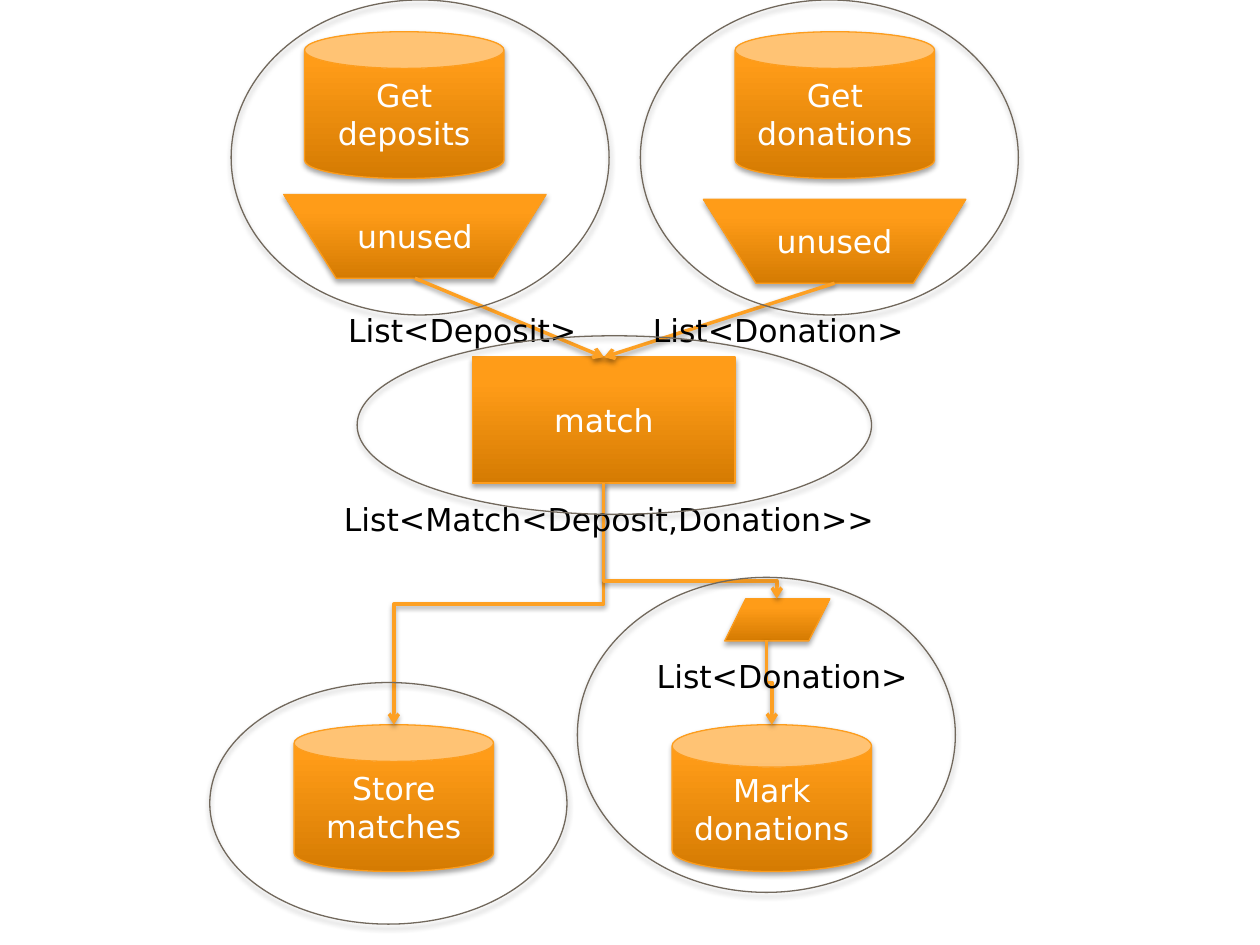
from copy import deepcopy

from lxml.etree import SubElement
from pptx import Presentation
from pptx.dml.color import RGBColor
from pptx.enum.shapes import MSO_CONNECTOR as Link, MSO_SHAPE as Shape
from pptx.enum.text import MSO_ANCHOR as Anchor, PP_ALIGN as Align
from pptx.oxml.ns import qn
from pptx.util import Cm, Pt

COLORS = {
    "dark": "D57B02", "mid": "FF9C18", "light": "FF9D19", "edge": "FD9D1D",
    "arrow": "FDA023", "ring": "71685C", "white": "FFFFFF", "black": "000000",
}
RGB = {name: RGBColor.from_string(value) for name, value in COLORS.items()}


def write(shape, text, color="black", align=Align.LEFT, anchor=Anchor.TOP):
    frame = shape.text_frame
    frame.word_wrap = True
    frame.vertical_anchor = anchor
    paragraph = frame.paragraphs[0]
    paragraph.alignment = align
    run = paragraph.add_run()
    run.text = text
    run.font.name = "DejaVu Sans"
    run.font.size = Pt(18)
    run.font.color.rgb = RGB[color]


def add_shadow(effects, distance, opacity):
    shadow = SubElement(effects, qn("a:outerShdw"), blurRad=str(Pt(3.1)),
                        dist=str(Pt(distance)), dir="5400000", rotWithShape="0")
    tone = SubElement(shadow, qn("a:srgbClr"), val=COLORS["black"])
    SubElement(tone, qn("a:alpha"), val=str(opacity * 1000))


deck = Presentation()
deck.slide_width, deck.slide_height = Cm(25.4), Cm(19.05)
slide = deck.slides.add_slide(deck.slide_layouts[6])
shapes = slide.shapes

step_sizes = {
    Shape.RECTANGLE: (5.29, 2.54),
    Shape.CAN: (4.02, 2.96),
    Shape.FLOWCHART_MANUAL_OPERATION: (5.29, 1.69),
    Shape.FLOWCHART_DATA: (2.12, 0.85),
}
steps = {}
for key, kind, left, top, label in [
    ("match", Shape.RECTANGLE, 9.53, 7.2, "match"),
    ("deposits", Shape.CAN, 6.14, 0.64, "Get deposits"),
    ("donations", Shape.CAN, 14.82, 0.64, "Get donations"),
    ("store", Shape.CAN, 5.93, 14.61, "Store matches"),
    ("mark", Shape.CAN, 13.55, 14.61, "Mark donations"),
    ("unused donations", Shape.FLOWCHART_MANUAL_OPERATION, 14.18, 4.02, "unused"),
    ("unused deposits", Shape.FLOWCHART_MANUAL_OPERATION, 5.72, 3.92, "unused"),
    ("convert", Shape.FLOWCHART_DATA, 14.61, 12.07, ""),
]:
    width, height = step_sizes[kind]
    step = shapes.add_shape(kind, Cm(left), Cm(top), Cm(width), Cm(height))
    step.fill.gradient()
    step.fill.gradient_angle = 90
    stop_list = step._element.spPr.find(".//" + qn("a:gsLst"))
    stop_list.append(deepcopy(stop_list[-1]))
    for stop, (position, color) in zip(
        step.fill.gradient_stops, [(0, "dark"), (0.8, "mid"), (1, "light")]
    ):
        stop.position = position
        stop.color.rgb = RGB[color]
    step.line.color.rgb = RGB["edge"]
    step.line.width = Pt(0.75)
    step.shadow.inherit = False
    add_shadow(step._element.spPr.find(qn("a:effectLst")), 1.8, 35)
    if label:
        write(step, label, color="white", align=Align.CENTER, anchor=Anchor.MIDDLE)
    steps[key] = step
steps["mark"].adjustments[0] = 0.289

flows = []
for source in ("unused deposits", "unused donations"):
    flow = shapes.add_connector(Link.STRAIGHT, 0, 0, 0, 0)
    flow.begin_connect(steps[source], 2)
    flow.end_connect(steps["match"], 0)
    flows.append(flow)

for x1, y1, x2, y2, bend in [
    (12.17, 9.74, 7.94, 14.61, 0.5),
    (12.17, 9.74, 15.66, 12.07, 0.845),
    (15.45, 12.91, 15.56, 14.61, 0.5),
]:
    middle_x, middle_y = (x1 + x2) / 2, (y1 + y2) / 2
    half_width, half_height = (y2 - y1) / 2, abs(x2 - x1) / 2
    goes_right = x2 > x1
    side = half_width if goes_right else -half_width
    flow = shapes.add_connector(
        Link.ELBOW, Cm(middle_x + side), Cm(middle_y - half_height),
        Cm(middle_x - side), Cm(middle_y + half_height))
    properties = flow._element.spPr
    turn = 270 if goes_right else 90
    properties.find(qn("a:xfrm")).set("rot", str(turn * 60000))
    SubElement(properties.find(".//" + qn("a:avLst")), qn("a:gd"),
               name="adj1", fmla=f"val {round(bend * 100000)}")
    flows.append(flow)

for flow in flows:
    flow.line.color.rgb = RGB["arrow"]
    flow.line.width = Pt(2)
    properties = flow._element.spPr
    SubElement(properties.find(qn("a:ln")), qn("a:tailEnd"), type="arrow")
    add_shadow(SubElement(properties, qn("a:effectLst")), 1.6, 38)

for left, top, width, label, align in [
    (6.77, 6.14, 5.72, "List<Deposit>", Align.LEFT),
    (12.91, 6.14, 5.72, "List<Donation>", Align.LEFT),
    (5.93, 9.95, 12.7, "List<Match<Deposit,Donation>>", Align.CENTER),
    (12.91, 13.12, 5.72, "List<Donation>", Align.CENTER),
]:
    caption = shapes.add_textbox(Cm(left), Cm(top), Cm(width), Cm(1.02))
    write(caption, label, align=align)

for left, top, width, height in [
    (12.91, 0, 7.62, 6.35),
    (4.66, 0, 7.62, 6.35),
    (11.64, 11.64, 7.62, 6.35),
    (4.23, 13.76, 7.2, 4.87),
    (7.2, 6.77, 10.37, 3.6),
]:
    ring = shapes.add_shape(Shape.OVAL, Cm(left), Cm(top), Cm(width), Cm(height))
    ring.fill.background()
    ring.line.color.rgb = RGB["ring"]
    ring.line.width = Pt(0.75)
    ring.shadow.inherit = False
    add_shadow(ring._element.spPr.find(qn("a:effectLst")), 1.8, 35)

deck.save("out.pptx")
